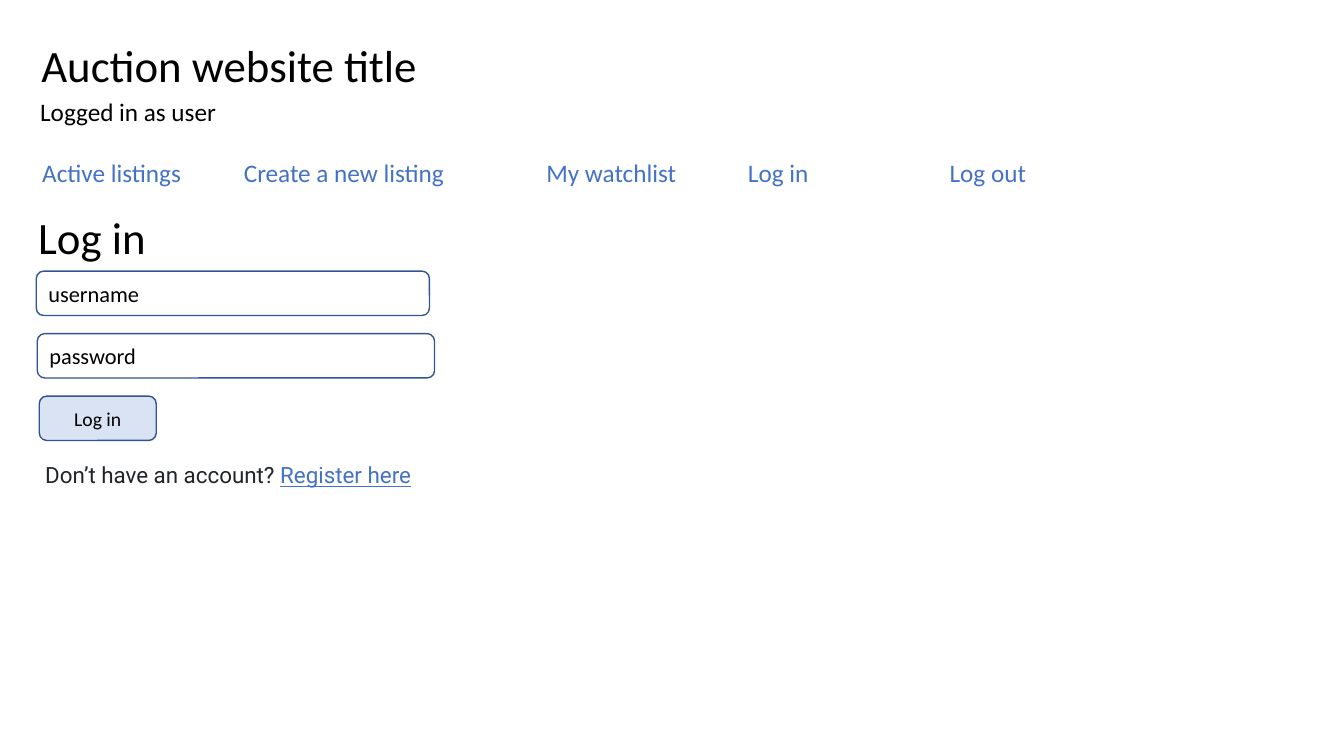
"""Build the log-in page mock-up of an auction website."""
from pptx import Presentation
from pptx.dml.color import RGBColor
from pptx.enum.shapes import MSO_SHAPE
from pptx.enum.text import MSO_ANCHOR, MSO_AUTO_SIZE, PP_ALIGN
from pptx.oxml.ns import qn
from pptx.util import Inches, Pt
from lxml.etree import SubElement

CELL = Inches(0.1)
BLACK = RGBColor(0x00, 0x00, 0x00)
DARK = RGBColor(0x21, 0x25, 0x29)
BLUE = RGBColor(0x44, 0x72, 0xC4)
EDGE = RGBColor(0x32, 0x54, 0x91)
PALE = RGBColor(0xDA, 0xE3, 0xF3)

HEAD = {"size": Pt(32), "name": "Calibri"}
BODY = {"size": Pt(18), "name": "Calibri"}
FIELD = {"size": Pt(16), "name": "Calibri"}
PRESS = {"size": Pt(14), "name": "Calibri"}
NOTE = {"size": Pt(16), "name": "Roboto"}


def grid(*cells):
    """Turn grid columns and rows into lengths."""
    return [round(cell * CELL) for cell in cells]


def write(shape, runs, form, align=PP_ALIGN.LEFT, anchor=MSO_ANCHOR.TOP):
    """Fill a shape with one paragraph of (text, colour, underline) runs."""
    frame = shape.text_frame
    looks = {"word_wrap": True, "auto_size": MSO_AUTO_SIZE.NONE,
             "vertical_anchor": anchor}
    for key, value in looks.items():
        setattr(frame, key, value)
    para = frame.paragraphs[0]
    para.alignment = align
    for text, tint, under in runs:
        run = para.add_run()
        run.text = text
        for key, value in {**form, "underline": under}.items():
            setattr(run.font, key, value)
        run.font.color.rgb = tint
    return para


def add_title(slide, text, place):
    """Move the title placeholder and write the site title in it."""
    title = slide.shapes.title
    for key, value in zip(("left", "top", "width", "height"), grid(*place)):
        setattr(title, key, value)
    write(title, [(text, BLACK, False)], HEAD)


def add_text(slide, runs, place, form):
    """Add a plain text box."""
    return write(slide.shapes.add_textbox(*grid(*place)), runs, form)


def add_menu(slide, text, place):
    """Add the menu line with a tab stop at every inch."""
    para = add_text(slide, [(text, BLUE, False)], place, BODY)
    stops = SubElement(para._p.get_or_add_pPr(), qn("a:tabLst"))
    for inch in range(1, 11):
        SubElement(stops, qn("a:tab"), pos=str(Inches(inch)), algn="l")


def add_box(slide, text, place, form, fill=None, align=PP_ALIGN.LEFT):
    """Add a rounded input field or button."""
    box = slide.shapes.add_shape(MSO_SHAPE.ROUNDED_RECTANGLE, *grid(*place))
    box.shadow.inherit = False
    box.line.color.rgb = EDGE
    box.line.width = Pt(1)
    if fill is None:
        box.fill.background()
    else:
        box.fill.solid()
        box.fill.fore_color.rgb = fill
    write(box, [(text, BLACK, False)], form, align, MSO_ANCHOR.MIDDLE)


def main():
    """Lay out the page and save it."""
    deck = Presentation()
    deck.slide_width, deck.slide_height = Inches(13.33), Inches(7.5)
    slide = deck.slides.add_slide(deck.slide_layouts[5])
    add_title(slide, "Auction website title", (3.1, 3.2, 46.5, 6.4))
    add_text(slide, [("Logged in as user", BLACK, False)],
             (3, 9.1, 46.5, 4), BODY)
    add_menu(slide, "Active listings \tCreate a new listing\t\tMy watchlist"
             "\tLog in\t\tLog out", (3.2, 15.1, 105.1, 4))
    add_text(slide, [("Log in", BLACK, False)], (2.8, 20.3, 46.5, 6.4), HEAD)
    first, step, tall = 26.9, 6.2, 4.4
    boxes = [("username", 3.6, 39, FIELD, None, PP_ALIGN.LEFT),
             ("password", 3.7, 39.4, FIELD, None, PP_ALIGN.LEFT),
             ("Log in", 3.9, 11.6, PRESS, PALE, PP_ALIGN.CENTER)]
    for row, (text, left, wide, form, fill, align) in enumerate(boxes):
        place = (left, first + row * step, wide, tall)
        add_box(slide, text, place, form, fill, align)
    add_text(slide, [("Don’t have an account? ", DARK, False),
                     ("Register here", BLUE, True)],
             (3.5, 45.3, 85.1, 3.7), NOTE)
    deck.save("out.pptx")


if __name__ == "__main__":
    main()
